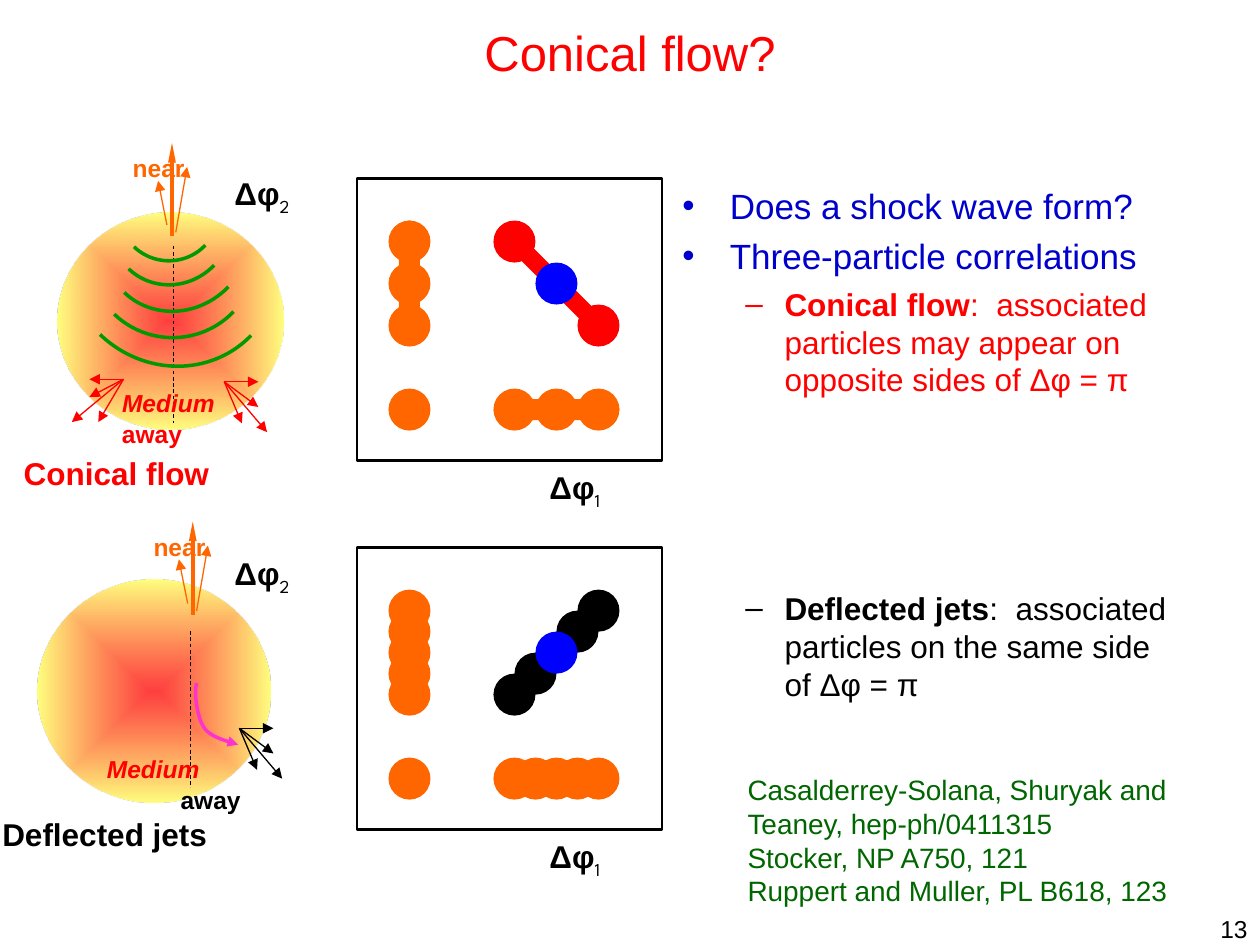
from lxml.etree import SubElement
from pptx import Presentation
from pptx.dml.color import RGBColor
from pptx.enum.dml import MSO_LINE
from pptx.enum.shapes import MSO_CONNECTOR, MSO_SHAPE
from pptx.enum.text import MSO_ANCHOR, PP_ALIGN
from pptx.oxml import parse_xml
from pptx.oxml.ns import qn
from pptx.util import Inches, Pt

# The slide is a grid of 100 columns and 75 rows; all lengths count these cells.
COLUMNS, ROWS = 100, 75
CELL = Inches(10) / COLUMNS
DOT = 5 / 3  # radius of a dot and pitch of a correlation panel
RED, ORANGE, BLUE, BLACK = "FF0000", "FF6600", "0000FF", "000000"
BULLET_BLUE, GREEN, DARK_GREEN, PINK = "0000CC", "009900", "006600", "FF33CC"
DRAWING = "http://schemas.openxmlformats.org/drawingml/2006/main"
MEDIUM_FILL = f"""<a:gradFill xmlns:a="{DRAWING}" rotWithShape="1"><a:gsLst>
<a:gs pos="0"><a:srgbClr val="FF0000"><a:alpha val="75000"/></a:srgbClr></a:gs>
<a:gs pos="100000"><a:srgbClr val="FFFF66"><a:alpha val="83000"/></a:srgbClr></a:gs>
</a:gsLst><a:path path="rect"><a:fillToRect l="50000" t="50000" r="50000" b="50000"/></a:path>
</a:gradFill>"""


def grid(*cells):
    return [round(cell * CELL) for cell in cells]


def rgb(color):
    return RGBColor.from_string(color)


def write(paragraph, text, size=18, color=BLACK, bold=False, italic=False,
          font="Arial", subscript=False):
    run = paragraph.add_run()
    run.text = text
    run.font.name, run.font.size = font, Pt(size)
    run.font.bold, run.font.italic = bold, italic
    run.font.color.rgb = rgb(color)
    if subscript:
        run.font._element.set("baseline", "-25000")


def add_frame(slide, box, left_margin=1):
    frame = slide.shapes.add_textbox(*grid(*box)).text_frame
    frame.word_wrap = True
    frame.margin_left = grid(left_margin)[0]
    return frame


def add_label(slide, box, text, align=PP_ALIGN.LEFT, **style):
    frame = add_frame(slide, box)
    frame.paragraphs[0].alignment = align
    write(frame.paragraphs[0], text, **style)
    return frame


def style_line(line, color, width, **head):
    line.color.rgb = rgb(color)
    line.width = Pt(width)
    if head:
        SubElement(line._get_or_add_ln(), qn("a:tailEnd"), **head)


def add_line(slide, start, end, color, width=0.75, dashed=False, **head):
    connector = slide.shapes.add_connector(MSO_CONNECTOR.STRAIGHT, *grid(*start, *end))
    if dashed:
        connector.line.dash_style = MSO_LINE.DASH
    style_line(connector.line, color, width, **head)
    SubElement(connector._element.spPr, qn("a:effectLst"))


def add_unfilled(shape, color, width, **head):
    shape.shadow.inherit = False
    shape.fill.background()
    style_line(shape.line, color, width, **head)


def add_curved_arrow(slide, points, color):
    """Join cubic curves: a start, then two control points and an end for each."""
    builder = slide.shapes.build_freeform(*grid(*points[0]))
    builder.add_line_segments([grid(*point) for point in points[1:]], close=False)
    shape = builder.convert_to_shape()
    outline = next(shape._element.iter(qn("a:path")))
    segments = outline.findall(qn("a:lnTo"))
    for index, segment in enumerate(segments):
        if index % 3 == 0:
            curve = SubElement(outline, qn("a:cubicBezTo"))
        curve.append(segment[0])
        outline.remove(segment)
    add_unfilled(shape, color, 2, type="triangle")


def add_filled(slide, kind, box, color):
    shape = slide.shapes.add_shape(kind, *grid(*box))
    shape.shadow.inherit = False
    shape.fill.solid()
    shape.fill.fore_color.rgb = rgb(color)
    shape.line.fill.background()
    return shape


def add_panel(slide, left, top, vertical_label_top, rows, diagonal, color, joined=False):
    """Correlation panel: rows of dots, mirrored below, and a diagonal of (column, row) dots."""
    def place(column, row):
        return left + column * DOT, top + row * DOT

    def add_dot(column, row, fill):
        add_filled(slide, MSO_SHAPE.OVAL, (*place(column, row), 2 * DOT, 2 * DOT), fill)

    frame = slide.shapes.add_shape(MSO_SHAPE.RECTANGLE, *grid(left, top, 24.2, 22.4))
    add_unfilled(frame, BLACK, 1.5)
    if joined:
        add_line(slide, place(7.5, 3), place(11.5, 7), color, width=10)
    for column, row in diagonal:
        add_dot(column, row, color)
    add_dot(8.5, 4, BLUE)
    add_dot(1.5, 10, ORANGE)
    for row in rows:
        add_dot(1.5, row, ORANGE)
        add_dot(row + 4.5, 10, ORANGE)
    if joined:
        for column, row, rotation in ((7, 10.5, 0), (-0.25, 4.25, 90)):
            bar = add_filled(slide, MSO_SHAPE.FLOWCHART_TERMINATOR,
                             (*place(column, row), 5.5 * DOT, DOT), ORANGE)
            bar.rotation = rotation
    for x, y, digit in ((left + 14.3, top + 22.5, "1"), (left - 10.7, vertical_label_top, "2")):
        label = add_label(slide, (x, y, 15.6, 4.4), "Δφ", bold=True)
        write(label.paragraphs[0], digit, font="League Spartan", subscript=True)


def add_collision(slide, box, color, caption, caption_at, jet, medium, away, axis, sprays,
                  wave_fronts=(), bend=()):
    """Medium with a near-side jet and away-side sprays, all placed from the box corner."""
    left, top = box[:2]

    def place(point):
        return left + point[0], top + point[1]

    def add_arrow(origin, start, end, fill, width=0.75, **head):
        x, y = place(origin)
        add_line(slide, (x + start[0], y + start[1]), (x + end[0], y + end[1]),
                 fill, width, type="triangle", **head)

    ball = add_filled(slide, MSO_SHAPE.OVAL, box, RED)
    properties = ball._element.spPr
    properties.replace(properties.find(qn("a:solidFill")), parse_xml(MEDIUM_FILL))
    add_arrow(jet, (0, 0), (0, -7.4), ORANGE, 2.25, w="sm", len="lg")
    add_arrow(jet, (-0.4, -0.9), (-1.1, -4.4), ORANGE)
    add_arrow(jet, (0.3, -0.3), (1.2, -5.5), ORANGE)
    for origin, tips in sprays:
        for tip in tips:
            add_arrow(origin, (0, 0), tip, color)
    x, axis_top, axis_bottom = axis
    add_line(slide, place((x, axis_top)), place((x, axis_bottom)), BLACK, 0.5, dashed=True)
    for *corner, width, height in wave_fronts:
        arc = slide.shapes.add_shape(MSO_SHAPE.ARC, *grid(*place(corner), width, height))
        arc.rotation = 133.8
        add_unfilled(arc, GREEN, 2)
    if bend:
        add_curved_arrow(slide, [place(point) for point in bend], PINK)
    near = jet[0] - 4.1, jet[1] - 7.1
    for point, width, text, fill, italic in ((near, 16.1, "near", ORANGE, False),
                                             (away, 16.7, "away", color, False),
                                             (medium, 9.5, "Medium", RED, True)):
        add_label(slide, (*place(point), width, 3.4), text, size=14, color=fill,
                  bold=True, italic=italic)
    add_label(slide, (*place(caption_at), 27, 4), caption, color=color, bold=True)


def add_bullets(slide, box):
    frame = add_frame(slide, box, left_margin=0)
    items = (  # level, space before, colour, bold lead, text
        (0, 0, BULLET_BLUE, "", "Does a shock wave form?"),
        (0, 5, BULLET_BLUE, "", "Three-particle correlations"),
        (1, 4.5, RED, "Conical flow",
         ":  associated particles may appear on opposite sides of Δφ = π"),
        (1, 109, BLACK, "Deflected jets", ":  associated particles on the same side of Δφ = π"),
    )
    for index, (level, space, color, lead, text) in enumerate(items):
        paragraph = frame.add_paragraph() if index else frame.paragraphs[0]
        paragraph.level = level
        paragraph.space_before = Pt(space)
        margin, hang = ((3.75, 3.75), (8.1, 3.1))[level]
        properties = paragraph._p.get_or_add_pPr()
        properties.set("marL", str(grid(margin)[0]))
        properties.set("indent", str(-grid(hang)[0]))
        SubElement(properties, qn("a:buFont"), typeface="Arial")
        SubElement(properties, qn("a:buChar"), char="•–"[level])
        if lead:
            write(paragraph, lead, color=color, bold=True)
        write(paragraph, text, size=20 - 2 * level, color=color)


def add_references(slide, box):
    frame = add_frame(slide, box)
    lines = ("Casalderrey-Solana, Shuryak and Teaney, hep-ph/0411315",
             "Stocker, NP A750, 121", "Ruppert and Muller, PL B618, 123")
    for index, text in enumerate(lines):
        paragraph = frame.add_paragraph() if index else frame.paragraphs[0]
        write(paragraph, text, size=16, color=DARK_GREEN)


def main():
    presentation = Presentation()
    presentation.slide_width, presentation.slide_height = grid(COLUMNS, ROWS)
    slide = presentation.slides.add_slide(presentation.slide_layouts[6])
    title = add_label(slide, (5, 0.8, 90, 6.6), "Conical flow?", PP_ALIGN.CENTER,
                      size=28, color=RED)
    title.vertical_anchor = MSO_ANCHOR.MIDDLE
    add_panel(slide, 28.33, 14.17, 13.3, (2, 4, 6), ((6.5, 2), (10.5, 6)), RED, joined=True)
    add_panel(slide, 28.33, 43.46, 43.5, range(2, 7),
              ((6.5, 6), (7.5, 5), (9.5, 3), (10.5, 2)), BLACK)

    right_tips = (3.4, 4), (1.4, 3.3), (2.7, 0), (2.7, 2)
    left_tips = (-4.1, 3.4), (-2.7, 1.4), (-2.7, 0), (-2, 3.4)
    add_collision(slide, (4.6, 16.9, 17.9, 17.2), RED, "Conical flow", (-3.7, 18.65),
                  jet=(9.05, 1.85), medium=(4.1, 13.4), away=(4.1, 15.9), axis=(9.2, 2.6, 16.7),
                  sprays=(((13.2, 13.4), right_tips), ((5.2, 13.2), left_tips)),
                  wave_fronts=((4.8, -4.2, 8, 8), (2.4, -3.5, 13.4, 13.4),
                               (0.8, -5, 16.5, 17.4), (4.1, -3.8, 9.8, 9.4),
                               (3.4, -3.7, 12.1, 11.3)))
    add_collision(slide, (3, 46, 18.5, 17.7), BLACK, "Deflected jets", (-3.8, 18.2),
                  jet=(12.3, 2.8), medium=(4.5, 13.35), away=(10.35, 15.8),
                  axis=(12.1, 4.1, 16.5), sprays=(((16, 11.8), right_tips),),
                  bend=((12.6, 8.2), (12.5, 8.7), (12.5, 9.2), (12.6, 9.9), (12.7, 10.5),
                        (12.9, 11.5), (13.4, 12), (14, 12.5), (14.9, 12.8), (15.9, 13.1)))

    add_bullets(slide, (54.17, 14.13, 40, 43.3))
    add_references(slide, (58.35, 60.85, 38.3, 11.7))
    add_label(slide, (76.7, 72.05, 23.3, 2.5), "13", PP_ALIGN.RIGHT, size=14)
    presentation.save("out.pptx")


if __name__ == "__main__":
    main()
